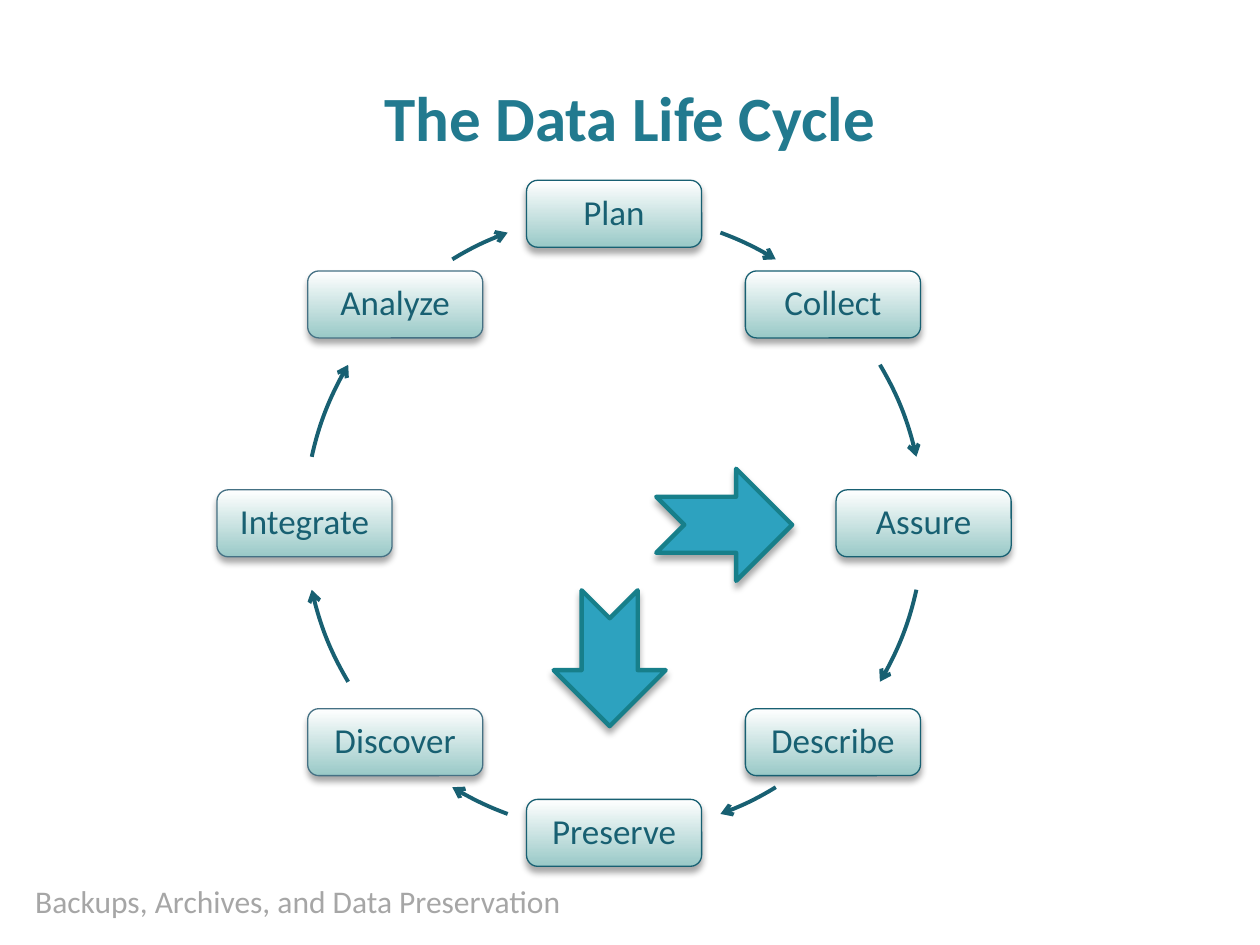
from math import cos, radians, sin

from lxml.etree import SubElement
from pptx import Presentation
from pptx.dml.color import RGBColor
from pptx.enum.shapes import MSO_SHAPE as SHAPE
from pptx.enum.text import MSO_ANCHOR as ANCHOR, PP_ALIGN as ALIGN
from pptx.oxml.ns import qn
from pptx.util import Cm, Pt

WHITE = RGBColor(0xFF, 0xFF, 0xFF)
MINT = RGBColor(0x99, 0xC9, 0xC7)
DARK_TEAL = RGBColor(0x18, 0x60, 0x72)
SLATE = RGBColor(0x45, 0x71, 0x84)
TITLE_TEAL = RGBColor(0x22, 0x7A, 0x8F)
GREY = RGBColor(0xA6, 0xA6, 0xA6)
AQUA = RGBColor(0x2D, 0xA2, 0xBF)
AQUA_EDGE = RGBColor(0x17, 0x7F, 0x8A)


def write(shape, text, size, color, bold=False, **frame_format):
    frame = shape.text_frame
    for name, value in frame_format.items():
        setattr(frame, name, value)
    paragraph = frame.paragraphs[0]
    run = paragraph.add_run()
    run.text = text
    run.font.color.rgb = color
    font_format = {"name": "Calibri", "size": Pt(size), "bold": bold}
    for name, value in font_format.items():
        setattr(run.font, name, value)
    return paragraph


def outline(shape, color, width, shadow=True):
    shape.line.color.rgb = color
    shape.line.width = Pt(width)
    shape.shadow.inherit = False
    if shadow:
        effects = shape._element.spPr.find(qn("a:effectLst"))
        outer = SubElement(effects, qn("a:outerShdw"), blurRad=str(Pt(4)),
                           dist=str(Pt(3)), dir="5400000", rotWithShape="0")
        black = SubElement(outer, qn("a:srgbClr"), val="000000")
        SubElement(black, qn("a:alpha"), val="35000")


presentation = Presentation()
presentation.slide_width, presentation.slide_height = Cm(25.4), Cm(19.05)
slide = presentation.slides.add_slide(presentation.slide_layouts[6])
shapes = slide.shapes

# Footer and title
footer = shapes.add_textbox(Cm(0.46), Cm(17.65), Cm(19.94), Cm(1.02))
write(footer, "Backups, Archives, and Data Preservation", 18, GREY, word_wrap=True)
title = shapes.add_textbox(Cm(0), Cm(1.37), Cm(25.4), Cm(1.96))
paragraph = write(title, "The Data Life Cycle", 36, TITLE_TEAL, bold=True,
                  word_wrap=True, vertical_anchor=ANCHOR.MIDDLE)
paragraph.alignment = ALIGN.CENTER

# Cycle: a box every 45 degrees clockwise from the top, an arc after each
center_x, center_y, radius = 12.38, 10.55, 6.24
box_width, box_height = 3.53, 1.35
steps = ["Plan", "Collect", "Assure", "Describe",
         "Preserve", "Discover", "Integrate", "Analyze"]
# Arc start and end in degrees past its box; the second half turn repeats the first
arc_spans = [(20.1, 31.5), (14.2, 32.6), (12.4, 30.8), (13.5, 24.9)]

for index, step in enumerate(steps):
    angle = 270 + 45 * index
    x = center_x + radius * cos(radians(angle))
    y = center_y + radius * sin(radians(angle))
    box = shapes.add_shape(SHAPE.ROUNDED_RECTANGLE, Cm(x - box_width / 2),
                           Cm(y - box_height / 2), Cm(box_width), Cm(box_height))
    box.fill.gradient()
    box.fill.gradient_angle = 270
    for stop, color, position in zip(box.fill.gradient_stops, (WHITE, MINT), (0, 1)):
        stop.color.rgb = color
        stop.position = position
    outline(box, DARK_TEAL if index < 5 else SLATE, 0.75)
    paragraph = write(box, step, 20, DARK_TEAL, word_wrap=True,
                      vertical_anchor=ANCHOR.MIDDLE,
                      margin_left=Cm(0.2), margin_right=Cm(0.2),
                      margin_top=Cm(0.2), margin_bottom=Cm(0.2))
    paragraph.alignment = ALIGN.CENTER
    paragraph.line_spacing = 0.9

    arc = shapes.add_shape(SHAPE.ARC, Cm(center_x - radius), Cm(center_y - radius),
                           Cm(2 * radius), Cm(2 * radius))
    for end, offset in enumerate(arc_spans[index % 4]):
        # One adjustment unit is 100000 / 60000 degrees
        arc.adjustments[end] = (angle + offset) % 360 * 0.6
    arc.fill.background()
    outline(arc, DARK_TEAL, 2.25, shadow=False)
    SubElement(arc._element.spPr.find(qn("a:ln")), qn("a:tailEnd"), type="arrow")

# Block arrows pointing at Assure and Preserve
for left, top, rotation in [(13.23, 9.45, 0), (10.92, 12.14, 90)]:
    pointer = shapes.add_shape(SHAPE.NOTCHED_RIGHT_ARROW, Cm(left), Cm(top),
                               Cm(2.74), Cm(2.26))
    pointer.rotation = rotation
    pointer.fill.solid()
    pointer.fill.fore_color.rgb = AQUA
    outline(pointer, AQUA_EDGE, 2.5)

presentation.save("out.pptx")
